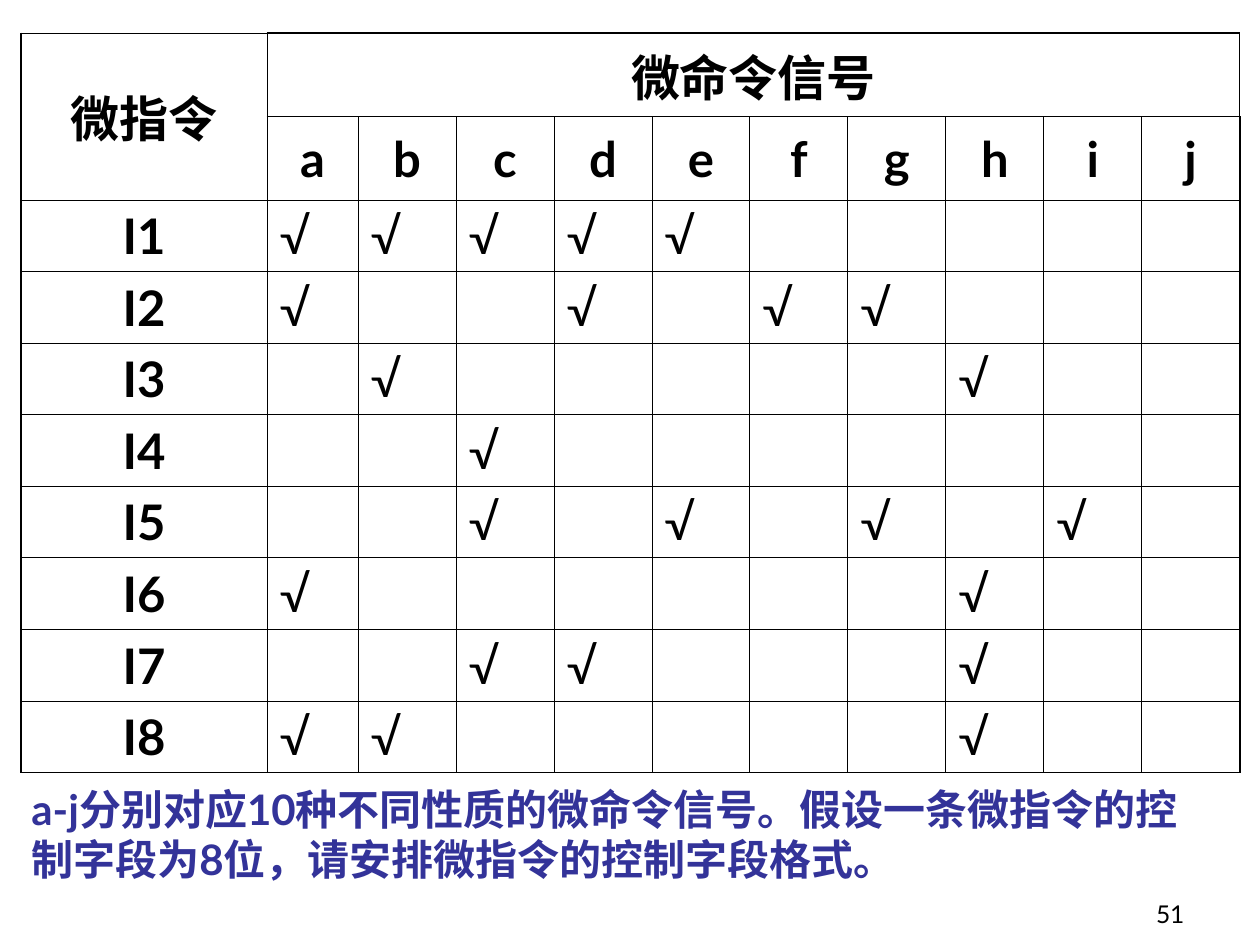
from lxml.etree import SubElement
from pptx import Presentation
from pptx.dml.color import RGBColor
from pptx.enum.text import MSO_ANCHOR, MSO_AUTO_SIZE, PP_ALIGN
from pptx.oxml.ns import qn
from pptx.util import Emu, Pt

PX_PER_INCH = 126
THIN, THICK = 0.45, 1.08
BLACK, INDIGO = "000000", "333399"

# Signals issued by each microinstruction
SIGNALS = "abcdefghij"
MICROINSTRUCTIONS = {
    "I1": "abcde",
    "I2": "adfg",
    "I3": "bh",
    "I4": "c",
    "I5": "cegi",
    "I6": "ah",
    "I7": "cdh",
    "I8": "abh",
}
EXERCISE = [
    "a-j分别对应10种不同性质的微命令信号。假设一条微指令的控",
    "制字段为8位，请安排微指令的控制字段格式。",
]


def px(length):
    return Emu(round(length * 914400 / PX_PER_INCH))


def color(value):
    return RGBColor.from_string(value)


class SlideBuilder:
    font = "Lato"

    def __init__(self, slide):
        self.slide = slide

    def add_text(self, paragraph, text, size, ink=BLACK, bold=False, align=PP_ALIGN.LEFT):
        paragraph.alignment = align
        run = paragraph.add_run()
        run.text = text
        run.font.name = self.font
        run.font.size = Pt(size)
        run.font.bold = bold
        run.font.color.rgb = color(ink)

    def text_box(self, box, lines, size, anchor=MSO_ANCHOR.TOP, wrap=True, **style):
        frame = self.slide.shapes.add_textbox(*map(px, box)).text_frame
        frame.word_wrap = wrap
        frame.auto_size = MSO_AUTO_SIZE.NONE if wrap else MSO_AUTO_SIZE.SHAPE_TO_FIT_TEXT
        frame.vertical_anchor = anchor
        for index, line in enumerate(lines):
            paragraph = frame.add_paragraph() if index else frame.paragraphs[0]
            self.add_text(paragraph, line, size, **style)

    def table(self, left, top, widths, height, row_count):
        box = map(px, (left, top, sum(widths), height))
        table = self.slide.shapes.add_table(row_count, len(widths), *box).table
        table.first_row = table.horz_banding = False
        for column, width in zip(table.columns, widths):
            column.width = px(width)
        last_row, last_column = row_count - 1, len(widths) - 1
        for r in range(row_count):
            for c in range(len(widths)):
                cell = table.cell(r, c)
                cell.vertical_anchor = MSO_ANCHOR.MIDDLE
                self.borders(cell, {
                    "L": c == 0,
                    "R": c == last_column,
                    "T": r == 0 and c > 0,
                    "B": r == last_row,
                })
                cell.fill.background()
        return table

    def borders(self, cell, thick_sides):
        properties = cell._tc.get_or_add_tcPr()
        for side, thick in thick_sides.items():
            width = Pt(THICK if thick else THIN)
            line = SubElement(properties, qn(f"a:ln{side}"), w=str(width))
            fill = SubElement(line, qn("a:solidFill"))
            SubElement(fill, qn("a:srgbClr"), val=BLACK)

    def heading(self, cell, text):
        self.add_text(cell.text_frame.paragraphs[0], text, 28, bold=True, align=PP_ALIGN.CENTER)

    def tick(self, cell):
        self.add_text(cell.text_frame.paragraphs[0], "√", 28)


def main():
    presentation = Presentation()
    presentation.slide_width, presentation.slide_height = px(1260), px(945)
    builder = SlideBuilder(presentation.slides.add_slide(presentation.slide_layouts[6]))

    # Page number
    builder.text_box((935, 872, 262, 63), ["51"], 14, anchor=MSO_ANCHOR.BOTTOM, align=PP_ALIGN.RIGHT)

    # Table headings
    widths = [246, 91] + [98] * 9
    signals = builder.table(21, 33, widths, 716, 2 + len(MICROINSTRUCTIONS))
    signals.cell(0, 0).merge(signals.cell(1, 0))
    signals.cell(0, 1).merge(signals.cell(0, len(SIGNALS)))
    builder.heading(signals.cell(0, 0), "微指令")
    builder.heading(signals.cell(0, 1), "微命令信号")
    for column, signal in enumerate(SIGNALS, 1):
        builder.heading(signals.cell(1, column), signal)

    # Ticks for the signals of each microinstruction
    for row, (instruction, issued) in enumerate(MICROINSTRUCTIONS.items(), 2):
        builder.heading(signals.cell(row, 0), instruction)
        for signal in issued:
            builder.tick(signals.cell(row, 1 + SIGNALS.index(signal)))

    # Exercise text
    builder.text_box((19, 777, 1206, 113), EXERCISE, 24, wrap=False, ink=INDIGO, bold=True)

    presentation.save("out.pptx")


if __name__ == "__main__":
    main()
